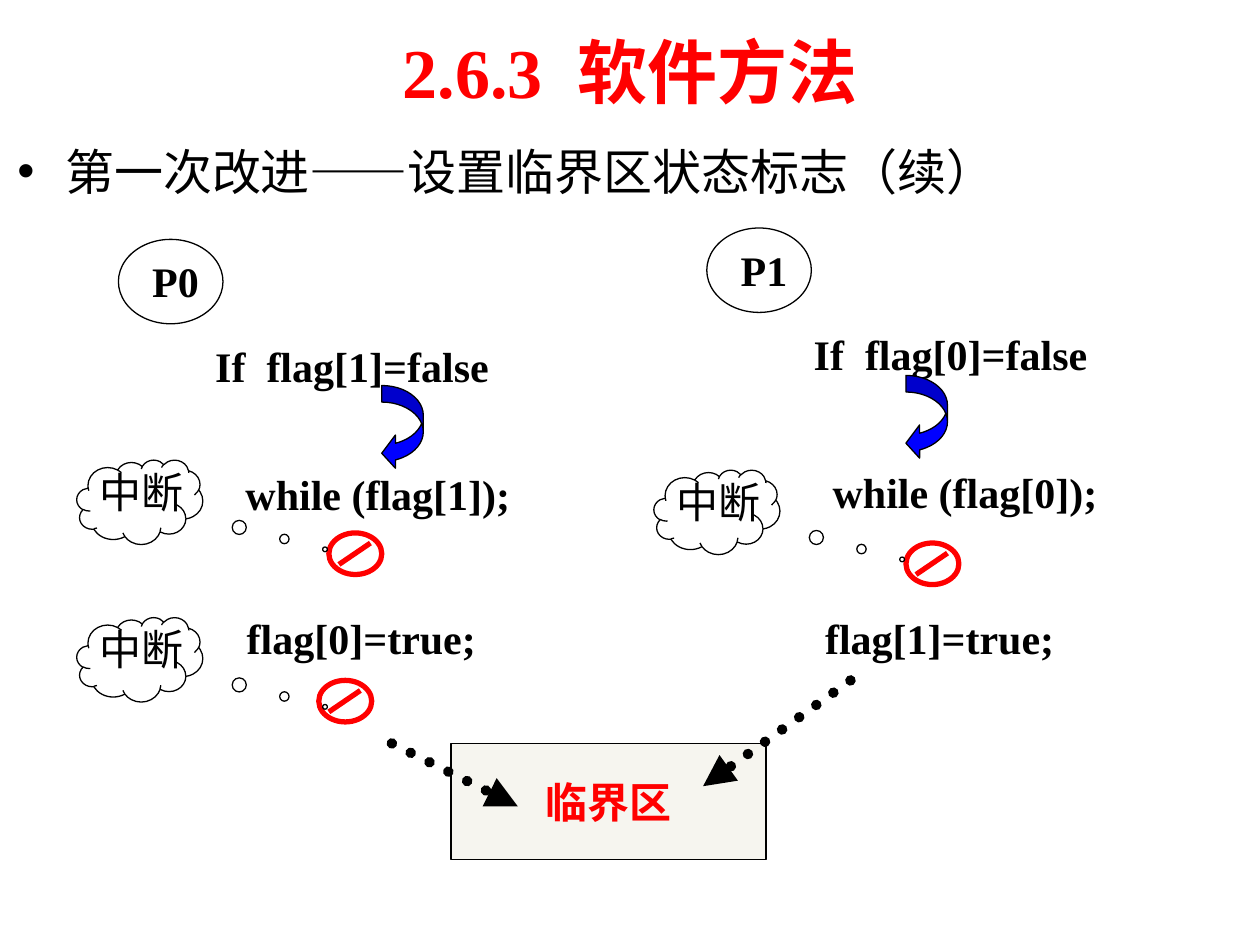
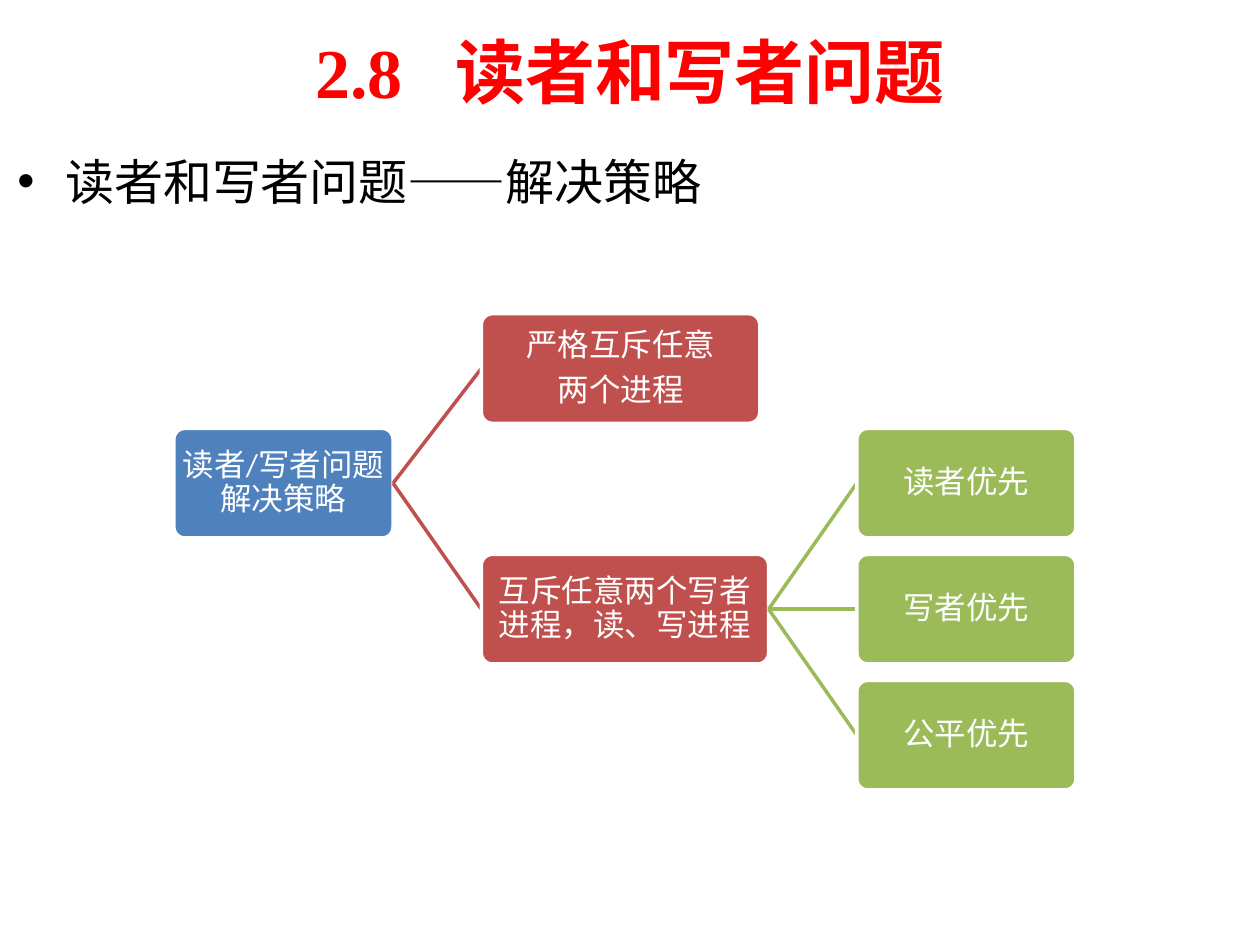
from dataclasses import dataclass

from lxml import etree
from pptx import Presentation
from pptx.dml.color import RGBColor
from pptx.enum.dml import MSO_LINE
from pptx.enum.shapes import MSO_CONNECTOR, MSO_SHAPE
from pptx.enum.text import MSO_ANCHOR, MSO_AUTO_SIZE, PP_ALIGN
from pptx.oxml.ns import qn
from pptx.util import Pt

EMU_PER_PX = 9144  # 100 px to the inch
SLIDE_WIDTH, SLIDE_HEIGHT = 1000, 750
TITLE_ONLY = 5
LEFT, RIGHT = 1, 3
STRAIGHT = MSO_CONNECTOR.STRAIGHT
ELLIPSE, RECTANGLE = MSO_SHAPE.OVAL, MSO_SHAPE.RECTANGLE
ROUNDED, CLOUD = MSO_SHAPE.ROUNDED_RECTANGLE, MSO_SHAPE.CLOUD_CALLOUT
CURVED_ARROW = MSO_SHAPE.CURVED_LEFT_ARROW
CENTER, MIDDLE = PP_ALIGN.CENTER, MSO_ANCHOR.MIDDLE
FIT_SHAPE, DOTTED = MSO_AUTO_SIZE.SHAPE_TO_FIT_TEXT, MSO_LINE.ROUND_DOT


@dataclass(frozen=True)
class Theme:
    serif: str = "Times New Roman"
    sans: str = "Arial"
    diagram: str = "Calibri"
    title_size: int = 40
    body_size: int = 28
    label_size: int = 24
    node_size: int = 18
    ink: str = "000000"
    alert: str = "FF0000"
    arrow: str = "0000FF"
    section: str = "EEECE1"
    paper: str = "FFFFFF"
    root: str = "4F81BD"
    strategy: str = "C0504D"
    priority: str = "9BBB59"


def px(value):
    return round(value * EMU_PER_PX)


def rgb(color):
    return RGBColor.from_string(color)


class Deck:
    def __init__(self, theme):
        self.theme = theme
        self.prs = Presentation()
        self.prs.slide_width = px(SLIDE_WIDTH)
        self.prs.slide_height = px(SLIDE_HEIGHT)
        self.slide = None

    def new_slide(self, title, bullet, bullet_top, title_gap):
        self.slide = self.prs.slides.add_slide(self.prs.slide_layouts[TITLE_ONLY])
        heading = self.slide.shapes.title
        heading.left, heading.top, heading.width, heading.height = map(px, (50, 5, 900, 102))
        heading.text_frame.vertical_anchor = MIDDLE
        paragraph = heading.text_frame.paragraphs[0]
        paragraph.alignment = CENTER
        self.add_words(paragraph, title, self.theme.title_size, color=self.theme.alert,
                       bold=True, gap=title_gap)
        self.bullet(bullet, bullet_top)

    def add_words(self, paragraph, words, size, font=None, color=None, bold=False, gap=2):
        """Add words as runs, set apart by one space stretched to `gap` space widths."""
        pieces = [words[0]]
        for word in words[1:]:
            pieces += [" ", word]
        for piece in pieces:
            run = paragraph.add_run()
            run.text = piece
            run.font.name = font or self.theme.serif
            run.font.size = Pt(size)
            run.font.bold = bold
            run.font.color.rgb = rgb(color or self.theme.ink)
            if piece == " ":
                run._r.get_or_add_rPr().set("spc", str((gap - 1) * size * 25))

    def text_box(self, left, top, width, height, wrap=True):
        frame = self.slide.shapes.add_textbox(*map(px, (left, top, width, height))).text_frame
        frame.word_wrap = wrap
        return frame

    def bullet(self, text, top):
        paragraph = self.text_box(4, top, 900, 495).paragraphs[0]
        properties = paragraph._p.get_or_add_pPr()
        properties.set("marL", str(px(38)))
        properties.set("indent", str(px(-38)))
        etree.SubElement(properties, qn("a:buFont")).set("typeface", self.theme.sans)
        etree.SubElement(properties, qn("a:buChar")).set("char", "•")
        self.add_words(paragraph, [text], self.theme.body_size)

    def label(self, words, left, top, width, bold=True, wrap=True):
        frame = self.text_box(left, top, width, 50, wrap)
        frame.auto_size = FIT_SHAPE
        self.add_words(frame.paragraphs[0], words, self.theme.label_size, bold=bold)

    def shape(self, kind, left, top, width, height, fill=None, line=None,
              weight=0.75, adjust=()):
        shape = self.slide.shapes.add_shape(kind, *map(px, (left, top, width, height)))
        shape.shadow.inherit = False
        for index, value in enumerate(adjust):
            shape.adjustments[index] = value
        if fill:
            shape.fill.solid()
            shape.fill.fore_color.rgb = rgb(fill)
        else:
            shape.fill.background()
        shape.line.color.rgb = rgb(line or self.theme.ink)
        shape.line.width = Pt(weight)
        return shape

    def line(self, start, end, color, weight):
        line = self.slide.shapes.add_connector(STRAIGHT, *map(px, (*start, *end)))
        line.line.color.rgb = rgb(color)
        line.line.width = Pt(weight)
        etree.SubElement(line._element.spPr, qn("a:effectLst"))
        return line

    def dotted_arrow(self, start, end):
        arrow = self.line(start, end, self.theme.ink, 6)
        arrow.line.dash_style = DOTTED
        outline = arrow._element.spPr.find(qn("a:ln"))
        outline.set("cap", "rnd")
        etree.SubElement(outline, qn("a:tailEnd")).set("type", "triangle")

    def process(self, name, left, top):
        self.label([name], left + 17, top + 8, 57, wrap=False)
        self.shape(ELLIPSE, left, top, 83, 67)

    def loop_arrow(self, left, top):
        self.shape(CURVED_ARROW, left, top, 33, 67, fill=self.theme.arrow,
                   adjust=(0.4, 0.8, 0.33))

    def interrupt(self, cloud, ban):
        """Draw a thought cloud whose bubbles lead to a no-entry sign."""
        red = self.theme.alert
        left, top = ban
        self.shape(ELLIPSE, left, top, 42, 33, line=red, weight=3)
        self.line((left + 8, top + 25), (left + 33, top + 8), red, 3)
        self.shape(CLOUD, *cloud, 100, 67, adjust=(1.47, 0.56))
        self.label(["中断"], cloud[0] + 8, cloud[1], 93, bold=False)

    def critical_section(self):
        section = self.shape(RECTANGLE, 358, 590, 250, 92, fill=self.theme.section)
        color = section._element.spPr.find(f"{qn('a:solidFill')}/{qn('a:srgbClr')}")
        etree.SubElement(color, qn("a:alpha")).set("val", "50000")
        frame = section.text_frame
        frame.word_wrap = False
        frame.vertical_anchor = MIDDLE
        paragraph = frame.paragraphs[0]
        paragraph.alignment = CENTER
        self.add_words(paragraph, ["临界区"], self.theme.label_size, self.theme.sans,
                       self.theme.alert, bold=True)

    def node(self, lines, left, top, width, color, parent=None):
        """Draw a tree node; its branch lies under it but over its parent."""
        height = 87
        if parent:
            start = ((parent.left + parent.width) / EMU_PER_PX,
                     (parent.top + parent.height / 2) / EMU_PER_PX)
            branch = self.line(start, (left, top + height / 2), color, 2)
        node = self.shape(ROUNDED, left, top, width, height, fill=color,
                          line=self.theme.paper, weight=2, adjust=(0.1,))
        if parent:
            branch.begin_connect(parent, RIGHT)
            branch.end_connect(node, LEFT)
        frame = node.text_frame
        frame.word_wrap = True
        frame.vertical_anchor = MIDDLE
        frame.margin_left = frame.margin_right = px(1)
        frame.margin_top = frame.margin_bottom = px(1)
        for index, text in enumerate(lines):
            paragraph = frame.add_paragraph() if index else frame.paragraphs[0]
            paragraph.alignment = CENTER
            paragraph.line_spacing = 0.9
            paragraph.space_after = Pt(6.3)
            self.add_words(paragraph, [text], self.theme.node_size, self.theme.diagram,
                           self.theme.paper)
        return node


def software_method(deck):
    deck.new_slide(["2.6.3", "软件方法"], "第一次改进——设置临界区状态标志（续）", 107, 2)

    deck.process("P0", 94, 190)
    deck.label(["If", "flag[1]=false"], 161, 265, 283)
    deck.label(["while (flag[1]);"], 185, 367, 236)
    deck.loop_arrow(303, 306)
    deck.interrupt(cloud=(61, 365), ban=(261, 423))

    deck.process("P1", 561, 181)
    deck.label(["If", "flag[0]=false"], 636, 256, 250)
    deck.loop_arrow(719, 298)
    deck.label(["while (flag[0]);"], 651, 365, 251)

    deck.label(["flag[0]=true;"], 186, 481, 202, wrap=False)
    deck.interrupt(cloud=(61, 490), ban=(253, 540))
    deck.interrupt(cloud=(519, 373), ban=(719, 431))
    deck.label(["flag[1]=true;"], 645, 481, 202, wrap=False)

    deck.critical_section()
    deck.dotted_arrow((675, 540), (558, 624))
    deck.dotted_arrow((311, 590), (411, 640))


def readers_and_writers(deck):
    theme = deck.theme
    deck.new_slide(["2.8", "读者和写者问题"], "读者和写者问题——解决策略", 115, 3)

    root = deck.node(["读者/写者问题解决策略"], 138, 340, 174, theme.root)
    deck.node(["严格互斥任意", "两个进程"], 382, 249, 221, theme.strategy, root)
    writers_exclusive = deck.node(["互斥任意两个写者进程，读、写进程"], 382, 440, 228,
                                  theme.strategy, root)
    for row, priority in enumerate(("读者优先", "写者优先", "公平优先")):
        deck.node([priority], 680, 340 + 100 * row, 174, theme.priority, writers_exclusive)


def main():
    deck = Deck(Theme())
    software_method(deck)
    readers_and_writers(deck)
    deck.prs.save("out.pptx")


if __name__ == "__main__":
    main()
